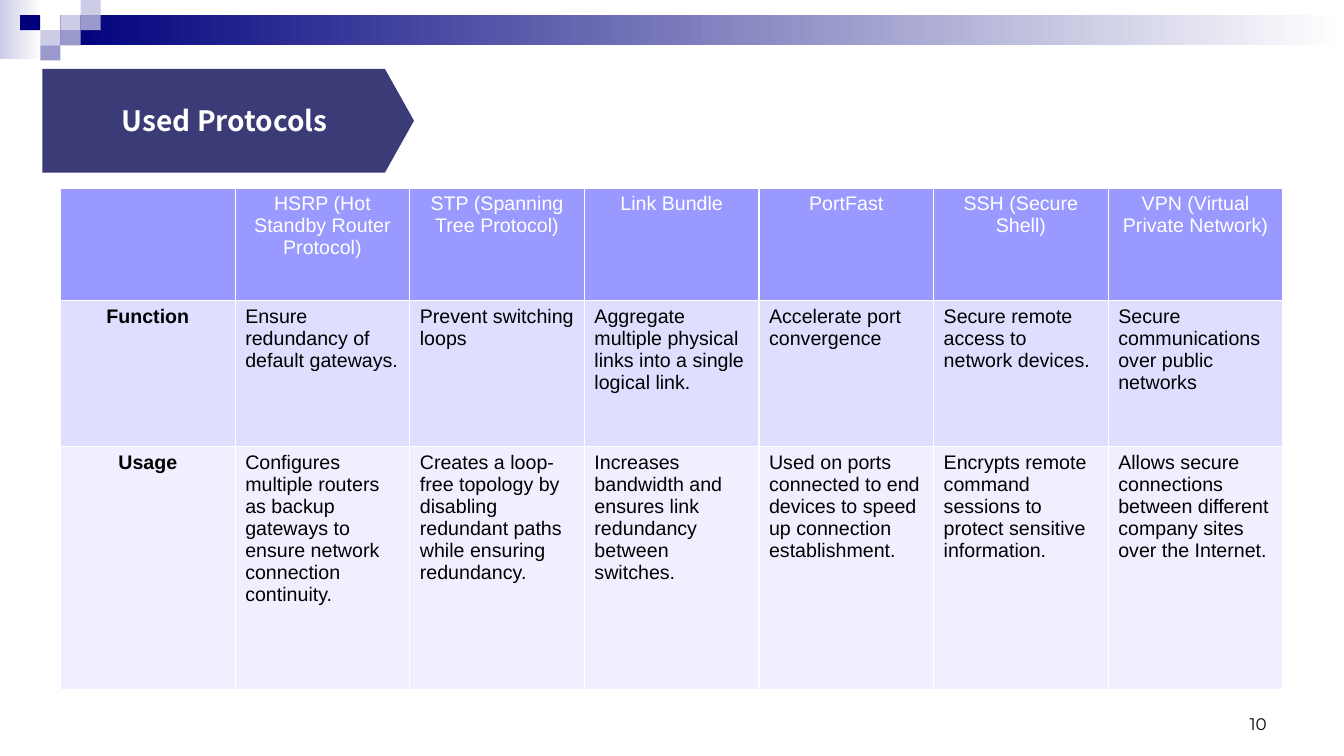
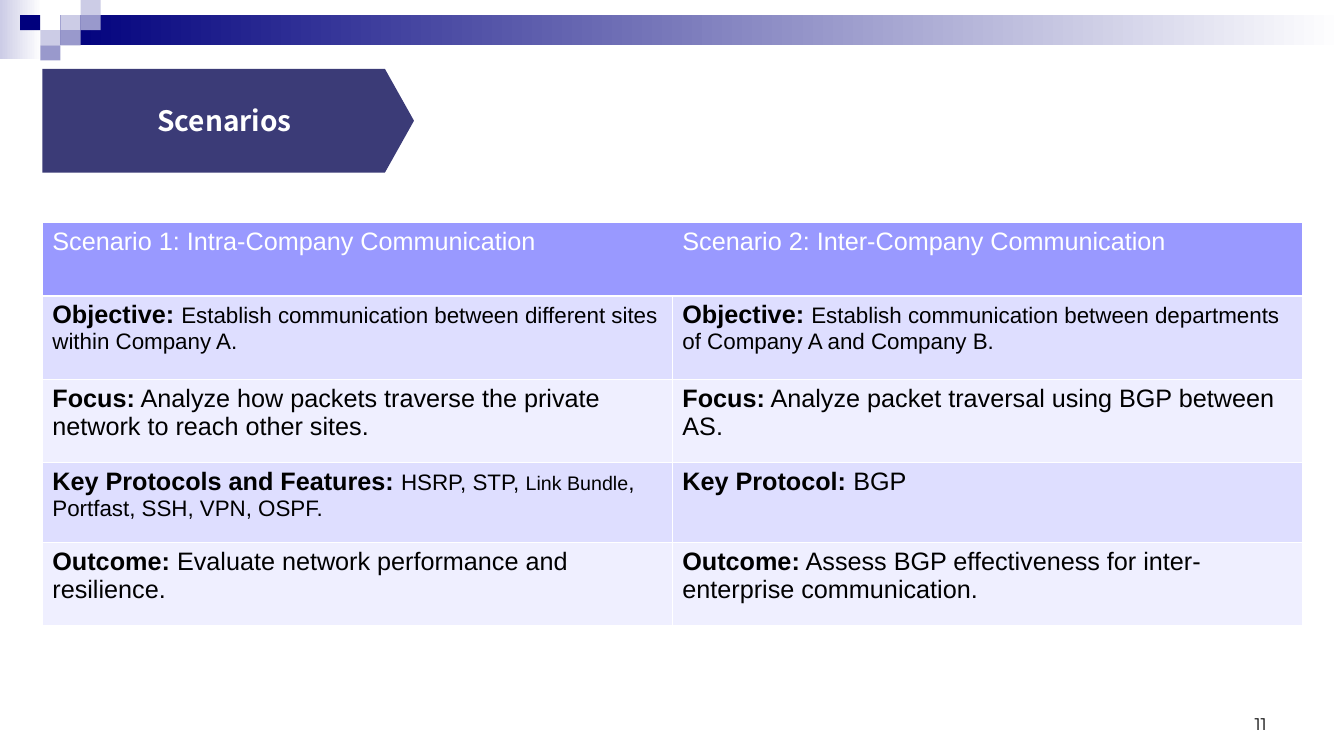
from lxml.etree import SubElement
from pptx import Presentation
from pptx.dml.color import RGBColor
from pptx.enum.shapes import MSO_SHAPE
from pptx.enum.text import MSO_ANCHOR, PP_ALIGN
from pptx.oxml.ns import qn
from pptx.util import Pt

SLIDE_WIDTH, SLIDE_HEIGHT = 960, 540
NAVY, LILAC, PALE = "00007D", "9999CC", "CCCCE6"
BANNER, HEADER = "3B3B77", "9999FF"
BANDS = ("DEDEFF", "EFEFFF")
WHITE, BLACK = "FFFFFF", "000000"
TITLE_FONT, BODY_FONT, NUMBER_FONT = "Noto Sans CJK SC", "Arial", "Montserrat"

BANNER_BOX = (30.25, 49.25, 265.5, 74)
NUMBER_BOX = (688, 492, 224, 36)
TILE_WIDTH, TILE_HEIGHT = 14.4, 10.8
TILES = [  # column, row, colour
    (3, 1, PALE), (4, 0, PALE), (4, 1, LILAC), (2, 2, PALE),
    (1, 1, NAVY), (3, 2, LILAC), (2, 3, LILAC),
]

PROTOCOLS = [
    ["", "HSRP (Hot Standby Router Protocol)", "STP (Spanning Tree Protocol)",
     "Link Bundle", "PortFast", "SSH (Secure Shell)",
     "VPN (Virtual Private Network)"],
    ["Function", "Ensure redundancy of default gateways.",
     "Prevent switching loops",
     "Aggregate multiple physical links into a single logical link.",
     "Accelerate port convergence",
     "Secure remote access to network devices.",
     "Secure communications over public networks"],
    ["Usage",
     "Configures multiple routers as backup gateways to ensure network "
     "connection continuity.",
     "Creates a loop-free topology by disabling redundant paths while "
     "ensuring redundancy.",
     "Increases bandwidth and ensures link redundancy between switches.",
     "Used on ports connected to end devices to speed up connection "
     "establishment.",
     "Encrypts remote command sessions to protect sensitive information.",
     "Allows secure connections between different company sites over the "
     "Internet."],
]

SCENARIO_TITLES = ["Scenario 1: Intra-Company Communication",
                   "Scenario 2: Inter-Company Communication"]
# Each cell: a bold label, then (text, size) pairs.
SCENARIOS = [
    [("Objective: ", [("Establish communication between different sites "
                       "within Company A.", 16)]),
     ("Objective: ", [("Establish communication between departments of "
                       "Company A and Company B.", 16)])],
    [("Focus:", [(" Analyze how packets traverse the private network to "
                  "reach other sites.", 18)]),
     ("Focus:", [(" Analyze packet traversal using BGP between AS.", 18)])],
    [("Key Protocols and Features: ",
      [("HSRP, STP, ", 16), ("Link Bundle", 14),
       (", Portfast, SSH, VPN, OSPF.", 16)]),
     ("Key Protocol: ", [("BGP", 18)])],
    [("Outcome:", [(" Evaluate network performance and resilience.", 18)]),
     ("Outcome:", [(" Assess BGP effectiveness for inter-enterprise "
                    "communication.", 18)])],
]


def rgb(value):
    return RGBColor.from_string(value)


def points(*values):
    return [Pt(value) for value in values]


def format_font(font, name, size, color, bold=False):
    font.name = name
    font.size = Pt(size)
    font.bold = bold
    font.color.rgb = rgb(color)


def add_block(slide, box, *colors, kind=MSO_SHAPE.RECTANGLE):
    """Add a borderless shape, with a left-to-right gradient for two colours."""
    shape = slide.shapes.add_shape(kind, *points(*box))
    shape.shadow.inherit = False
    shape.line.fill.background()
    if len(colors) == 1:
        shape.fill.solid()
        shape.fill.fore_color.rgb = rgb(colors[0])
    else:
        shape.fill.gradient()
        shape.fill.gradient_angle = 0
        for stop, color, position in zip(shape.fill.gradient_stops, colors, (0, 1)):
            stop.color.rgb = rgb(color)
            stop.position = position
    return shape


def decorate_layout(slide):
    """Build the top band and mosaic, and move them to the slide's layout."""
    band_left = 3 * TILE_WIDTH
    blocks = [
        add_block(slide, (0, 0, 30, 42), PALE, WHITE),
        add_block(slide, (band_left, TILE_HEIGHT, SLIDE_WIDTH - band_left,
                          2 * TILE_HEIGHT), NAVY, WHITE),
    ]
    for column, row, color in TILES:
        box = (column * TILE_WIDTH, row * TILE_HEIGHT, TILE_WIDTH, TILE_HEIGHT)
        blocks.append(add_block(slide, box, color))
    for block in blocks:
        slide.slide_layout.shapes.element.append(block.element)


def add_title(slide, text, box):
    left, top, width, height = box
    banner = add_block(slide, box, BANNER, kind=MSO_SHAPE.PENTAGON)
    banner.adjustments[0] = 0.28
    title = slide.shapes.title
    slide.shapes.element.append(title.element)
    title.left, title.top, title.width, title.height = points(
        left, top, width - 5, height)
    frame = title.text_frame
    frame.text = text
    frame.word_wrap = True
    frame.vertical_anchor = MSO_ANCHOR.MIDDLE
    paragraph = frame.paragraphs[0]
    paragraph.alignment = PP_ALIGN.CENTER
    format_font(paragraph.runs[0].font, TITLE_FONT, 20, WHITE, True)


def add_number(slide, number, box):
    frame = slide.shapes.add_textbox(*points(*box)).text_frame
    frame.word_wrap = True
    frame.vertical_anchor = MSO_ANCHOR.BOTTOM
    frame.text = str(number)
    paragraph = frame.paragraphs[0]
    paragraph.alignment = PP_ALIGN.RIGHT
    format_font(paragraph.runs[0].font, NUMBER_FONT, 12, BLACK)


def set_borders(cell, hidden=""):
    """Draw white cell borders, except the sides named in hidden."""
    properties = cell._tc.get_or_add_tcPr()
    fill_element = properties[0]
    for side in "LRTB":
        line = SubElement(properties, qn(f"a:ln{side}"), w=str(Pt(1)))
        if side in hidden:
            SubElement(line, qn("a:noFill"))
        else:
            line_fill = SubElement(line, qn("a:solidFill"))
            SubElement(line_fill, qn("a:srgbClr"), val=WHITE)
    properties.append(fill_element)  # the schema wants the fill after the lines


def add_table(slide, box, row_heights, column_count):
    """Add a table with a header row and alternating bands."""
    left, top, width = box
    table = slide.shapes.add_table(
        len(row_heights), column_count,
        *points(left, top, width, sum(row_heights))).table
    for column in table.columns:
        column.width = Pt(width / column_count)
    for index, height in enumerate(row_heights):
        table.rows[index].height = Pt(height)
        for cell in table.rows[index].cells:
            cell.fill.solid()
            cell.fill.fore_color.rgb = rgb(BANDS[(index - 1) % 2] if index else HEADER)
    return table


def write_cell(cell, runs, color, alignment=PP_ALIGN.LEFT):
    """Write (text, size, bold) runs into a cell."""
    paragraph = cell.text_frame.paragraphs[0]
    paragraph.alignment = alignment
    for text, size, bold in runs:
        run = paragraph.add_run()
        run.text = text
        format_font(run.font, BODY_FONT, size, color, bold)


def add_protocol_table(slide, box):
    table = add_table(slide, box, (80.5, 104, 174), len(PROTOCOLS[0]))
    for row, texts in enumerate(PROTOCOLS):
        for column, text in enumerate(texts):
            cell = table.cell(row, column)
            is_label = row == 0 or column == 0
            set_borders(cell)
            if text:
                write_cell(cell, [(text, 14, row > 0 and column == 0)],
                           BLACK if row else WHITE,
                           PP_ALIGN.CENTER if is_label else PP_ALIGN.LEFT)


def add_scenario_table(slide, box):
    table = add_table(slide, box, (52.5, 59.5, 59.5, 57, 59.5), 2)
    for column, text in enumerate(SCENARIO_TITLES):
        cell = table.cell(0, column)
        set_borders(cell, hidden="RL"[column])
        write_cell(cell, [(text, 18, False)], WHITE)
    for row, cells in enumerate(SCENARIOS, start=1):
        for column, (label, details) in enumerate(cells):
            cell = table.cell(row, column)
            set_borders(cell)
            runs = [(label, 18, True)]
            runs += [(text, size, False) for text, size in details]
            write_cell(cell, runs, BLACK)


def main():
    presentation = Presentation()
    presentation.slide_width = Pt(SLIDE_WIDTH)
    presentation.slide_height = Pt(SLIDE_HEIGHT)
    title_only = presentation.slide_layouts[5]
    pages = [
        ("Used Protocols", add_protocol_table, (43.25, 134.25, 873.25)),
        ("Scenarios", add_scenario_table, (30.25, 159, 900)),
    ]
    for number, (title, add_content, box) in enumerate(pages, start=10):
        slide = presentation.slides.add_slide(title_only)
        if number == 10:
            decorate_layout(slide)
        add_number(slide, number, NUMBER_BOX)
        add_title(slide, title, BANNER_BOX)
        add_content(slide, box)
    presentation.save("out.pptx")


if __name__ == "__main__":
    main()
